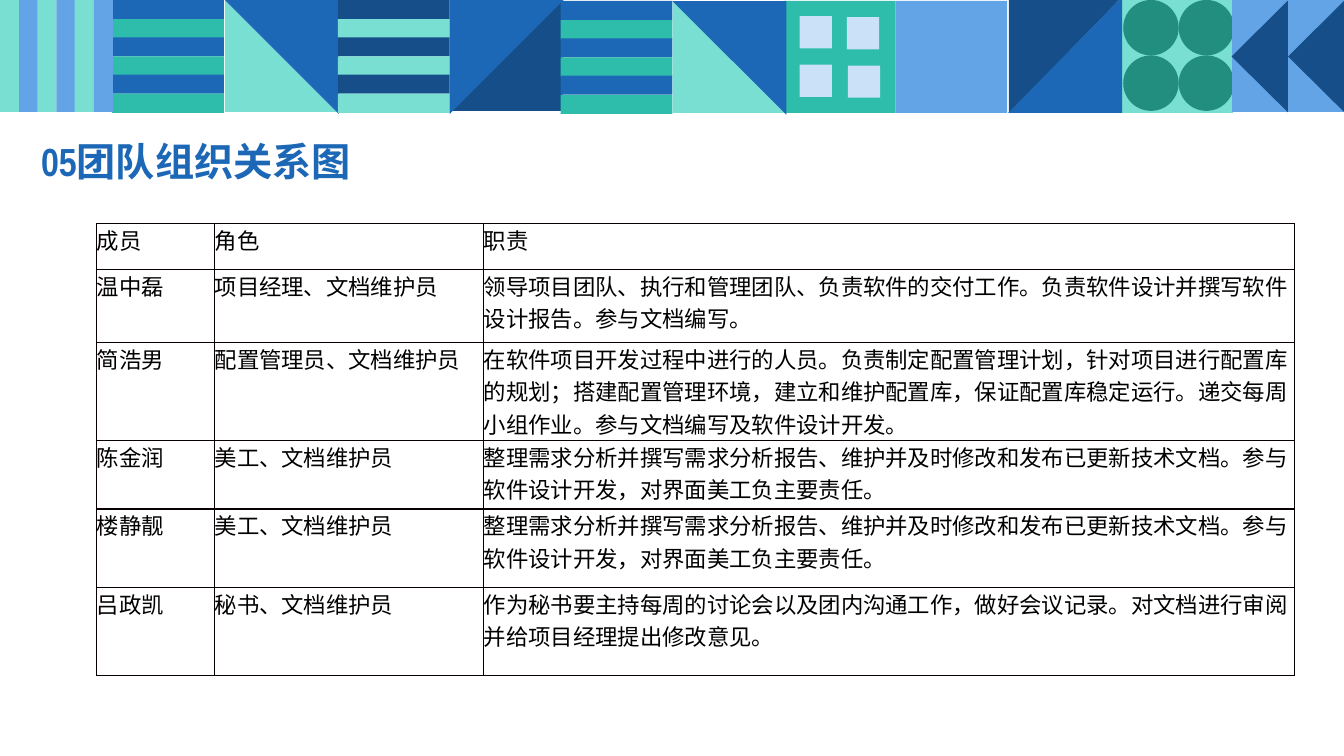
"""Build the team roles slide: a tiled banner, a heading and a table of duties."""
from dataclasses import dataclass
from typing import Any

from lxml import etree
from pptx import Presentation
from pptx.dml.color import RGBColor
from pptx.enum.shapes import MSO_SHAPE
from pptx.enum.text import MSO_ANCHOR
from pptx.oxml.ns import qn
from pptx.slide import Slide
from pptx.table import _Cell
from pptx.text.text import _Run
from pptx.util import Pt

RECT = MSO_SHAPE.RECTANGLE
OVAL = MSO_SHAPE.OVAL
CORNER = MSO_SHAPE.RIGHT_TRIANGLE
WEDGE = MSO_SHAPE.ISOSCELES_TRIANGLE
MIDDLE = MSO_ANCHOR.MIDDLE

SCALE = 9144
SIDE = 111
BAND = 19
STEP = 18.6


@dataclass(frozen=True)
class Theme:
    """Hold the colours, fonts and type sizes."""
    navy: str = "154E88"
    blue: str = "1C68B6"
    sky: str = "63A4E7"
    ice: str = "CBE1F7"
    mint: str = "79DFD2"
    teal: str = "2DBDAA"
    green: str = "228E80"
    black: str = "000000"
    edge: str = "080000"
    narrow: str = "Arial Narrow"
    sans: str = "Noto Sans CJK SC"
    head: int = 28
    body: int = 16


THEME = Theme()


@dataclass(frozen=True)
class Tile:
    """Describe one filled shape of the banner, in px."""
    kind: MSO_SHAPE
    left: int
    top: int
    width: int
    height: int
    fill: str
    turn: int = 0


@dataclass(frozen=True)
class Member:
    """Describe one table row and its height in px."""
    name: str
    role: str
    duty: str
    height: int


DESIGN = "整理需求分析并撰写需求分析报告、维护并及时修改和发布已更新技术文档。参与软件设计开发，对界面美工负主要责任。"
ROWS = [
    Member("成员", "角色", "职责", 45),
    Member("温中磊", "项目经理、文档维护员",
           "领导项目团队、执行和管理团队、负责软件的交付工作。负责软件设计并撰写软件设计报告。参与文档编写。", 73),
    Member("简浩男", "配置管理员、文档维护员",
           "在软件项目开发过程中进行的人员。负责制定配置管理计划，针对项目进行配置库的规划；"
           "搭建配置管理环境，建立和维护配置库，保证配置库稳定运行。递交每周小组作业。"
           "参与文档编写及软件设计开发。", 97),
    Member("陈金润", "美工、文档维护员", DESIGN, 68),
    Member("楼静靓", "美工、文档维护员", DESIGN, 78),
    Member("吕政凯", "秘书、文档维护员",
           "作为秘书要主持每周的讨论会以及团内沟通工作，做好会议记录。对文档进行审阅并给项目经理提出修改意见。", 87),
]
COLS = [117, 267, 804]


def px(size: int) -> int:
    """Turn px into EMU."""
    return size * SCALE


def apply(item: Any, values: dict[str, Any]) -> None:
    """Set every named value on the item."""
    for name, value in values.items():
        setattr(item, name, value)


def bars(left: int, top: int, pair: tuple[str, str]) -> list[Tile]:
    """Stack six bars in two alternating colours."""
    return [Tile(RECT, left, top + round(i * STEP), SIDE, BAND, pair[i % 2])
            for i in range(6)]


def posts() -> list[Tile]:
    """Stand six posts side by side in two alternating colours."""
    pair = (THEME.mint, THEME.sky)
    return [Tile(RECT, round(i * STEP), 0, BAND, SIDE, pair[i % 2]) for i in range(6)]


def split(left: int, top: int) -> list[Tile]:
    """Cut a square into a mint and a blue half."""
    return [Tile(CORNER, left, top, SIDE, SIDE, THEME.mint),
            Tile(CORNER, left, top, 113, 113, THEME.blue, 180)]


def banner() -> list[Tile]:
    """List all banner tiles from back to front."""
    panes = [(840, 17), (793, 16), (841, 65), (793, 64)]
    return [
        *bars(111, 0, (THEME.blue, THEME.teal)),
        *split(223, 0),
        *posts(),
        *bars(335, 0, (THEME.navy, THEME.mint)),
        Tile(RECT, 777, 1, SIDE, SIDE, THEME.teal),
        *[Tile(RECT, x, y, 32, 32, THEME.ice) for x, y in panes],
        Tile(RECT, 888, 1, SIDE, SIDE, THEME.sky),
        Tile(RECT, 1112, 0, SIDE, 112, THEME.mint),
        *[Tile(OVAL, x, y, 55, 55, THEME.green) for y in (0, 55) for x in (1114, 1169)],
        Tile(CORNER, 999, 0, 114, SIDE, THEME.navy, 90),
        Tile(CORNER, 999, -2, 115, 113, THEME.blue, 270),
        Tile(CORNER, 447, -1, SIDE, SIDE, THEME.navy, 270),
        Tile(CORNER, 446, 0, 113, 113, THEME.blue, 90),
        Tile(RECT, 1222, 0, SIDE, SIDE, THEME.sky),
        *[Tile(WEDGE, x, 28, SIDE, 56, THEME.navy, 270) for x in (1194, 1250)],
        *bars(556, 1, (THEME.blue, THEME.teal)),
        *split(667, 1),
    ]


def draw(slide: Slide, tile: Tile) -> None:
    """Draw one banner tile."""
    shape = slide.shapes.add_shape(tile.kind, px(tile.left), px(tile.top),
                                   px(tile.width), px(tile.height))
    shape.rotation = tile.turn
    shape.shadow.inherit = False
    shape.fill.solid()
    shape.fill.fore_color.rgb = RGBColor.from_string(tile.fill)
    shape.line.fill.background()


def style(run: _Run, face: str, size: int, tint: str, bold: bool) -> None:
    """Set the type of a run, with the sans face for Chinese."""
    apply(run.font, {"name": face, "size": Pt(size), "bold": bold})
    run.font.color.rgb = RGBColor.from_string(tint)
    etree.SubElement(run.font._element, qn("a:ea"), typeface=THEME.sans)


def title(slide: Slide) -> None:
    """Write the heading."""
    frame = slide.shapes.add_textbox(px(31), px(131), px(384), px(63)).text_frame
    apply(frame, {"word_wrap": True, "vertical_anchor": MIDDLE})
    para = frame.paragraphs[0]
    apply(para, {"line_spacing": 0.9, "space_before": Pt(10)})
    run = para.add_run()
    run.text = "05团队组织关系图"
    style(run, THEME.narrow, THEME.head, THEME.blue, True)


def border(cell: _Cell, col: int) -> None:
    """Rule the four sides of a cell, thinner beside the last column."""
    thin = {"L": col == 2, "R": col > 0, "T": False, "B": False}
    props = cell._tc.get_or_add_tcPr()
    for spot, (side, fine) in enumerate(thin.items()):
        line = etree.Element(qn(f"a:ln{side}"), w=str(Pt(0.75 if fine else 1)))
        fill = etree.SubElement(line, qn("a:solidFill"))
        etree.SubElement(fill, qn("a:srgbClr"), val=THEME.black if fine else THEME.edge)
        props.insert(spot, line)


def roster(slide: Slide) -> None:
    """Draw the table of members, roles and duties."""
    table = slide.shapes.add_table(len(ROWS), len(COLS), px(96), px(222), px(sum(COLS)),
                                   px(sum(row.height for row in ROWS))).table
    apply(table, {"first_row": False, "horz_banding": False})
    for col, width in enumerate(COLS):
        table.columns[col].width = px(width)
    flush = {f"margin_{side}": 0 for side in ("left", "top", "right", "bottom")}
    for index, row in enumerate(ROWS):
        table.rows[index].height = px(row.height)
        for col, text in enumerate((row.name, row.role, row.duty)):
            cell = table.cell(index, col)
            apply(cell, flush)
            cell.fill.background()
            run = cell.text_frame.paragraphs[0].add_run()
            run.text = text
            style(run, THEME.sans, THEME.body, THEME.black, False)
            border(cell, col)


def main() -> None:
    """Build and save the deck."""
    deck = Presentation()
    apply(deck, {"slide_width": px(1333), "slide_height": px(750)})
    slide = deck.slides.add_slide(deck.slide_layouts[6])
    for tile in banner():
        draw(slide, tile)
    title(slide)
    roster(slide)
    deck.save("out.pptx")


if __name__ == "__main__":
    main()
